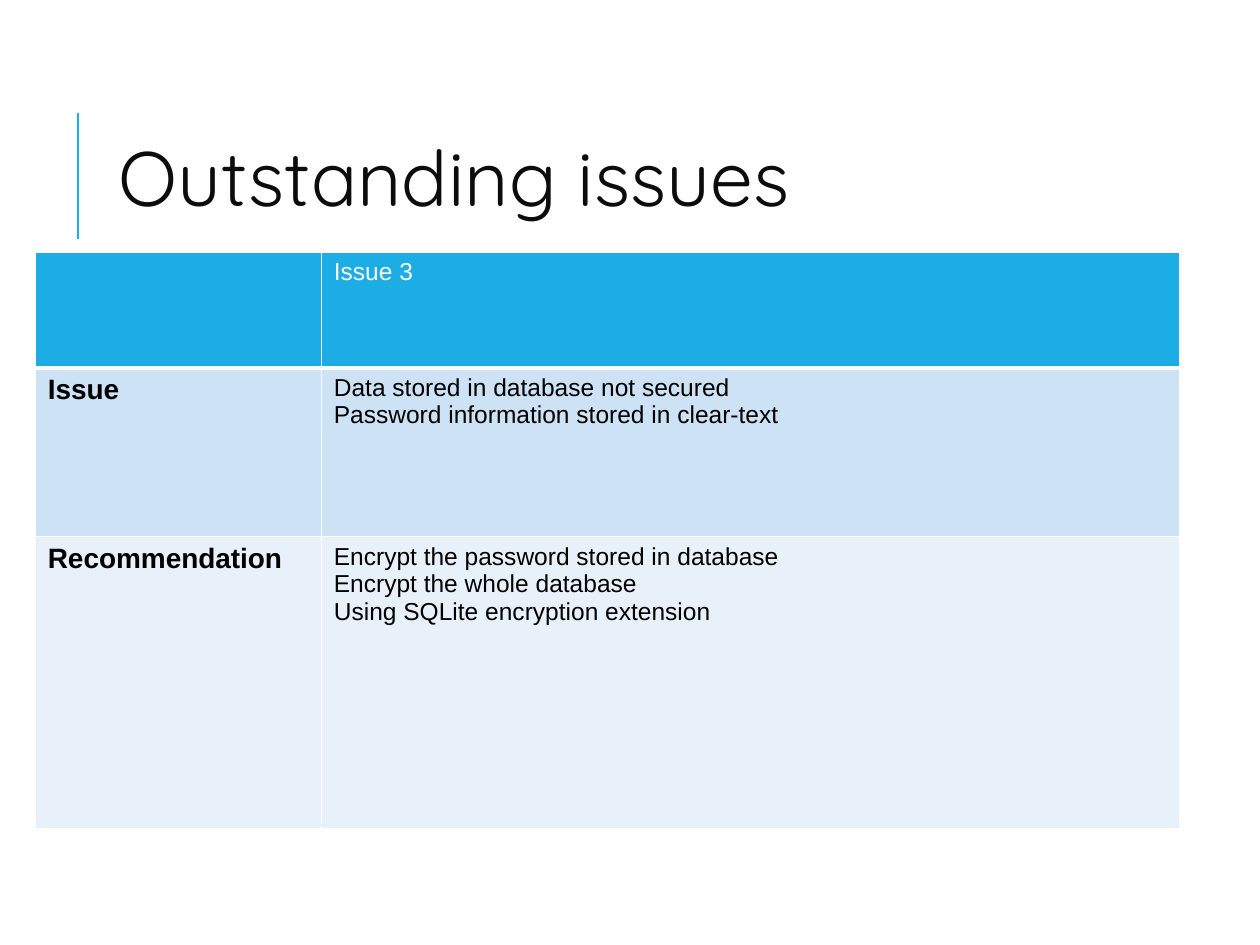
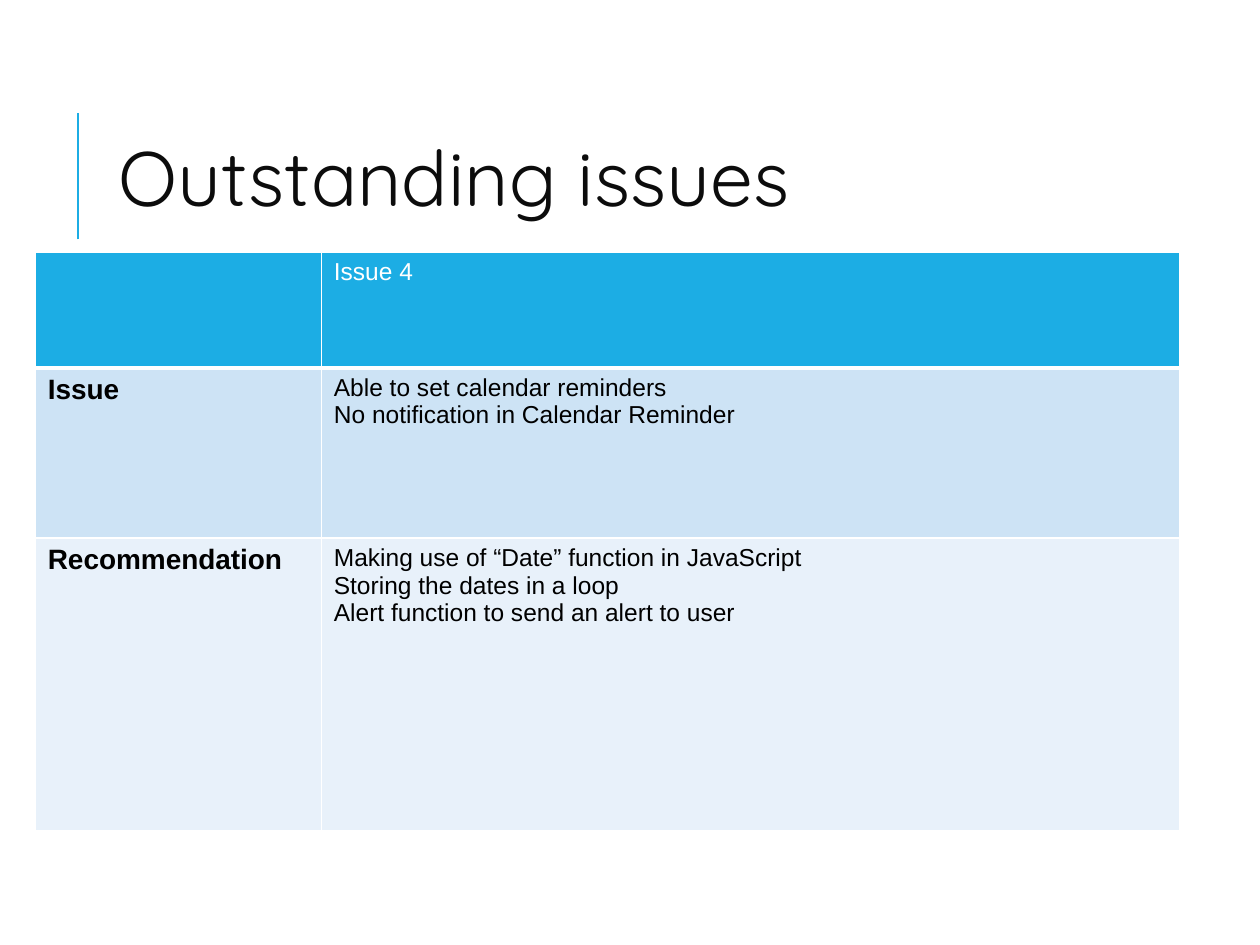
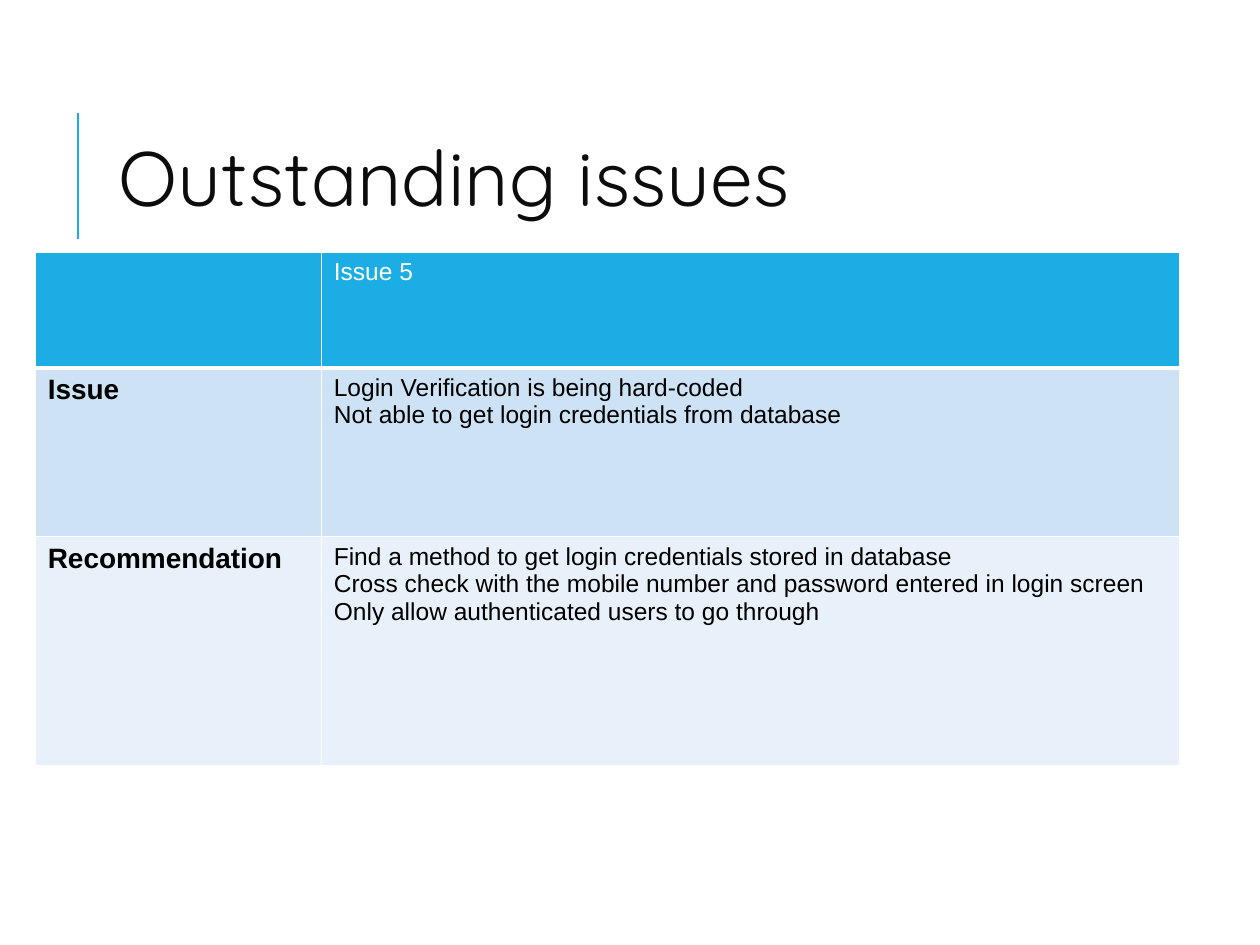
from pptx import Presentation
from pptx.dml.color import RGBColor
from pptx.enum.shapes import MSO_CONNECTOR
from pptx.enum.text import MSO_ANCHOR, MSO_AUTO_SIZE, PP_ALIGN
from pptx.oxml.ns import qn
from pptx.util import Inches, Pt
from lxml.etree import SubElement

ACCENT = RGBColor(0x1C, 0xAD, 0xE4)
ROW_DARK = RGBColor(0xCD, 0xE3, 0xF5)
ROW_LIGHT = RGBColor(0xE8, 0xF1, 0xFA)
WHITE = RGBColor(0xFF, 0xFF, 0xFF)
BLACK = RGBColor(0, 0, 0)
TITLE_INK = RGBColor(0x0C, 0x0C, 0x0C)
TITLE_FONT, TABLE_FONT = "Quicksand", "Arial"

# Content: one entry per slide, row heights in inches
TITLE = "Outstanding issues"
ISSUES = [
    {
        "name": "Issue 3",
        "issue": ["Data stored in database not secured",
                  "Password information stored in clear-text"],
        "recommendation": ["Encrypt the password stored in database",
                           "Encrypt the whole database",
                           "Using SQLite encryption extension"],
        "heights": (0.92, 1.34, 2.32),
    },
    {
        "name": "Issue 4",
        "issue": ["Able to set calendar reminders",
                  "No notification in Calendar Reminder"],
        "recommendation": ["Making use of “Date” function in JavaScript",
                           "Storing the dates in a loop",
                           "Alert function to send an alert to user"],
        "heights": (0.92, 1.35, 2.32),
    },
    {
        "name": "Issue 5",
        "issue": ["Login Verification is being hard-coded",
                  "Not able to get login credentials from database"],
        "recommendation": [
            "Find a method to get login credentials stored in database",
            "Cross check with the mobile number and password entered in login screen",
            "Only allow authenticated users to go through"],
        "heights": (0.92, 1.34, 1.82),
    },
]

# Table layout: the label column takes a quarter of the width
TABLE_LEFT, TABLE_TOP, TABLE_WIDTH = 0.28, 2, 9.08
COLUMN_SHARES = (0.25, 0.75)
ROW_FILLS = (ACCENT, ROW_DARK, ROW_LIGHT)


def add_heading(page):
    """Title with the accent rule on its left."""
    rule = page.shapes.add_connector(
        MSO_CONNECTOR.STRAIGHT, Inches(0.62), Inches(1.9), Inches(0.62), Inches(0.9))
    rule.line.color.rgb = ACCENT
    rule.line.width = Pt(1.5)
    SubElement(rule._element.spPr, qn("a:effectLst"))

    title = page.shapes.title
    title.left, title.top = Inches(0.84), Inches(0.64)
    title.width, title.height = Inches(7.97), Inches(1.64)
    frame = title.text_frame
    frame.text = TITLE
    frame.word_wrap = True
    frame.auto_size = MSO_AUTO_SIZE.NONE
    frame.vertical_anchor = MSO_ANCHOR.MIDDLE
    frame.margin_left = frame.margin_right = Inches(0.1)
    frame.margin_top = frame.margin_bottom = Inches(0.1)
    para = frame.paragraphs[0]
    para.alignment = PP_ALIGN.LEFT
    para.line_spacing = 0.8
    para.font.name, para.font.size = TITLE_FONT, Pt(44)
    para.font.color.rgb = TITLE_INK


def set_borders(cell, bottom_width):
    properties = cell._tc.get_or_add_tcPr()
    for side, width in (("L", 1), ("R", 1), ("T", 1), ("B", bottom_width)):
        line = SubElement(properties, qn(f"a:ln{side}"), w=str(Pt(width)))
        fill = SubElement(line, qn("a:solidFill"))
        SubElement(fill, qn("a:srgbClr"), val=str(WHITE))


def fill_cell(cell, lines, row, is_label):
    set_borders(cell, 3 if row == 0 else 1)  # borders precede the fill in XML
    cell.fill.solid()
    cell.fill.fore_color.rgb = ROW_FILLS[row]
    cell.text = "\n".join(lines)
    for para in cell.text_frame.paragraphs:
        para.font.name = TABLE_FONT
        para.font.size = Pt(16 if is_label else 14)
        para.font.bold = is_label
        para.font.color.rgb = WHITE if row == 0 else BLACK


def add_issue_table(page, issue):
    rows = [([], [issue["name"]]),
            (["Issue"], issue["issue"]),
            (["Recommendation"], issue["recommendation"])]
    table = page.shapes.add_table(
        len(rows), len(COLUMN_SHARES), Inches(TABLE_LEFT), Inches(TABLE_TOP),
        Inches(TABLE_WIDTH), Inches(sum(issue["heights"]))).table
    for column, share in zip(table.columns, COLUMN_SHARES):
        column.width = Inches(TABLE_WIDTH * share)
    for row, (texts, height) in enumerate(zip(rows, issue["heights"])):
        table.rows[row].height = Inches(height)
        for column, lines in enumerate(texts):
            fill_cell(table.cell(row, column), lines, row, is_label=column == 0)


deck = Presentation()
deck.slide_width, deck.slide_height = Inches(10), Inches(7.5)
title_only = deck.slide_layouts.get_by_name("Title Only")
for issue in ISSUES:
    page = deck.slides.add_slide(title_only)
    add_heading(page)
    add_issue_table(page, issue)
deck.save("out.pptx")
